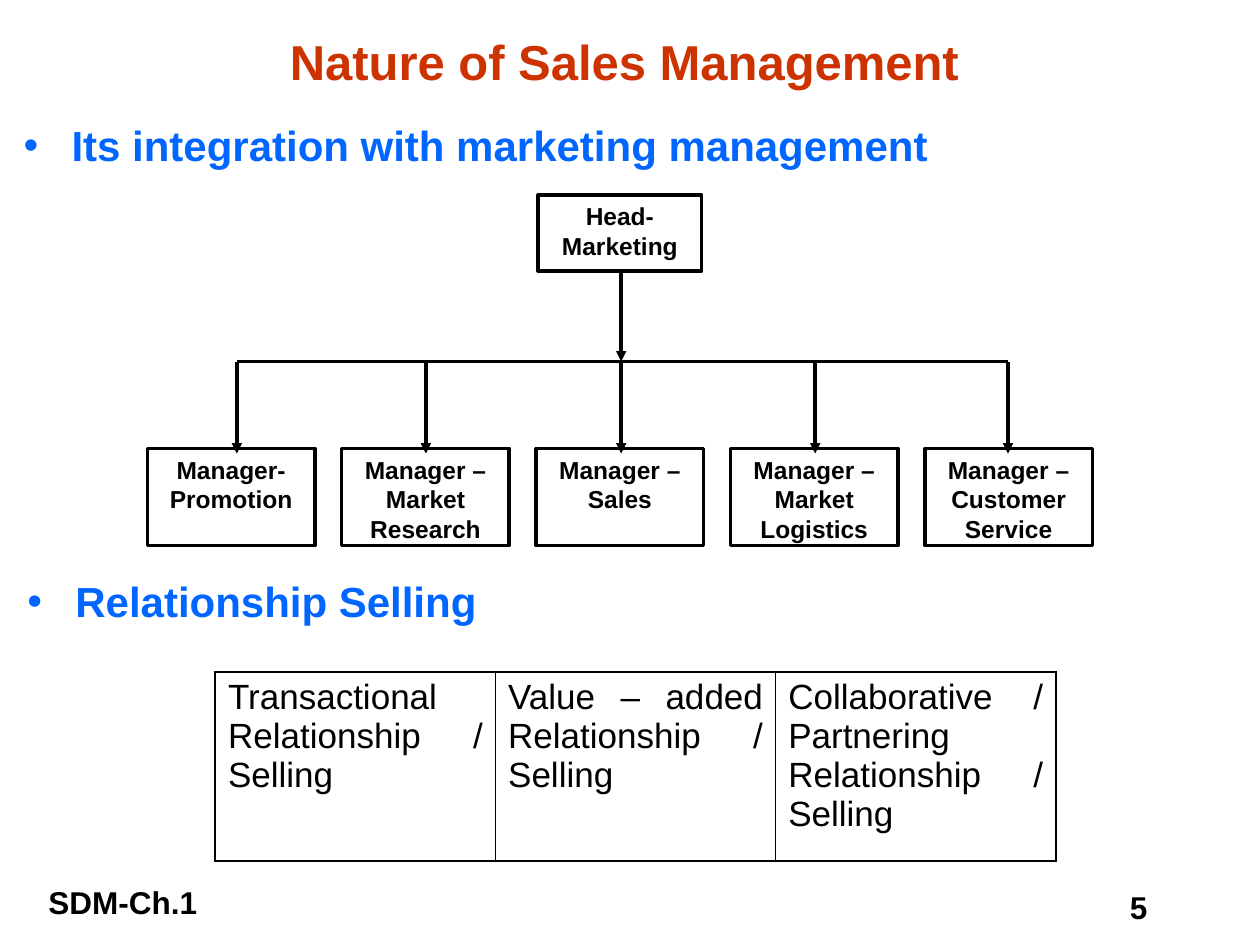
from lxml.etree import SubElement
from pptx import Presentation
from pptx.dml.color import RGBColor
from pptx.enum.shapes import MSO_CONNECTOR as Connector, MSO_SHAPE as Shape
from pptx.enum.text import MSO_ANCHOR as Anchor, PP_ALIGN as Align
from pptx.oxml.ns import qn
from pptx.util import Inches, Pt

COLORS = {"title": "CC3300", "bullet": "0066FF", "ink": "000000", "paper": "FFFFFF"}
FONT = "Arial"

TITLE = "Nature of Sales Management"
BULLETS = [
    ("Its integration with marketing management", (0.09, 0.9, 7.6, 0.5)),
    ("Relationship Selling", (0.12, 4.52, 4, 0.5)),
]
FOOTER, PAGE_NUMBER = "SDM-Ch.1", "5"
HEAD = "Head-Marketing"
MANAGERS = [  # lines of the box, x of the arrow above it
    (["Manager-", "Promotion"], 1.88),
    (["Manager –", "Market Research"], 3.38),
    (["Manager –", "Sales"], 4.93),
    (["Manager –", "Market Logistics"], 6.47),
    (["Manager –", "Customer Service"], 8),
]
RELATIONSHIPS = [
    "Transactional Relationship / Selling",
    "Value – added Relationship / Selling",
    "Collaborative / Partnering Relationship / Selling",
]

HEAD_BOX = (4.27, 1.55, 1.3, 0.6)
MANAGER_LEFT, MANAGER_TOP, MANAGER_SIZE = 1.17, 3.56, (1.33, 0.77)
MANAGER_PITCH = (7.34 - MANAGER_LEFT) / (len(MANAGERS) - 1)
TRUNK_X, BUS_Y, ARROW_END = 4.93, 2.87, 3.6
TABLE_BOX = (1.71, 5.33, 6.67, 1.5)


def color(name):
    return RGBColor.from_string(COLORS[name])


def write(frame, lines, size, ink="ink", bold=True, align=Align.LEFT):
    for index, line in enumerate(lines):
        paragraph = frame.add_paragraph() if index else frame.paragraphs[0]
        paragraph.alignment = align
        run = paragraph.add_run()
        run.text = line
        run.font.name, run.font.size, run.font.bold = FONT, Pt(size), bold
        run.font.color.rgb = color(ink)


def add_text(slide, box, text, size, ink="ink", align=Align.LEFT):
    frame = slide.shapes.add_textbox(*map(Inches, box)).text_frame
    frame.word_wrap = True
    write(frame, [text], size, ink, align=align)
    return frame


def add_bullet(paragraph, ink):
    properties = paragraph._p.get_or_add_pPr()
    properties.set("marL", str(Inches(0.38)))
    properties.set("indent", str(-Inches(0.38)))
    bullet_color = SubElement(properties, qn("a:buClr"))
    SubElement(bullet_color, qn("a:srgbClr"), val=COLORS[ink])
    SubElement(properties, qn("a:buFont"), typeface=FONT)
    SubElement(properties, qn("a:buChar"), char="•")


def add_box(slide, box, lines):
    shape = slide.shapes.add_shape(Shape.RECTANGLE, *map(Inches, box))
    shape.shadow.inherit = False
    shape.fill.solid()
    shape.fill.fore_color.rgb = color("paper")
    shape.line.color.rgb = color("ink")
    shape.line.width = Pt(2)
    shape.text_frame.word_wrap = True
    shape.text_frame.vertical_anchor = Anchor.TOP
    write(shape.text_frame, lines, 14, align=Align.CENTER)


def add_line(slide, start, end, arrow=True):
    line = slide.shapes.add_connector(Connector.STRAIGHT, *map(Inches, start + end))
    line.line.color.rgb = color("ink")
    line.line.width = Pt(2)
    if arrow:
        SubElement(line.line._get_or_add_ln(), qn("a:tailEnd"), type="triangle")
    SubElement(line._element.spPr, qn("a:effectLst"))


def set_borders(cell, widths):
    properties = cell._tc.get_or_add_tcPr()
    for side, width in widths.items():
        border = SubElement(properties, qn(f"a:ln{side}"), w=str(Pt(width)))
        fill = SubElement(border, qn("a:solidFill"))
        SubElement(fill, qn("a:srgbClr"), val=COLORS["ink"])


def add_relationship_table(slide):
    count = len(RELATIONSHIPS)
    table = slide.shapes.add_table(1, count, *map(Inches, TABLE_BOX)).table
    table.first_row = table.horz_banding = False
    outer, inner = 1.25, 0.45
    for index, text in enumerate(RELATIONSHIPS):
        cell = table.cell(0, index)
        set_borders(cell, {
            "L": inner if index else outer,
            "R": inner if index < count - 1 else outer,
            "T": outer,
            "B": outer,
        })
        cell.fill.background()
        write(cell.text_frame, [text], 20, bold=False, align=Align.JUSTIFY)


def add_organisation_chart(slide):
    add_box(slide, HEAD_BOX, [HEAD])
    for index, (lines, _) in enumerate(MANAGERS):
        left = MANAGER_LEFT + index * MANAGER_PITCH
        add_box(slide, (left, MANAGER_TOP) + MANAGER_SIZE, lines)
    drops = [x for _, x in MANAGERS]
    add_line(slide, (drops[0], BUS_Y), (drops[-1], BUS_Y), arrow=False)
    for x in drops:
        add_line(slide, (x, BUS_Y), (x, ARROW_END))
    add_line(slide, (TRUNK_X, HEAD_BOX[1] + HEAD_BOX[3]), (TRUNK_X, BUS_Y))


def main():
    presentation = Presentation()
    presentation.slide_width, presentation.slide_height = Inches(10), Inches(7.5)
    slide = presentation.slides.add_slide(presentation.slide_layouts[6])
    add_text(slide, (0.14, 6.96, 1.67, 0.4), FOOTER, 18, align=Align.CENTER)
    add_text(slide, (8.87, 7, 1.13, 0.4), PAGE_NUMBER, 18)
    title = add_text(slide, (2.19, 0.2, 5.53, 0.57), TITLE, 28, "title", Align.CENTER)
    title.vertical_anchor = Anchor.MIDDLE
    for text, box in BULLETS:
        frame = add_text(slide, box, text, 24, "bullet")
        add_bullet(frame.paragraphs[0], "bullet")
    add_relationship_table(slide)
    add_organisation_chart(slide)
    presentation.save("out.pptx")


if __name__ == "__main__":
    main()
